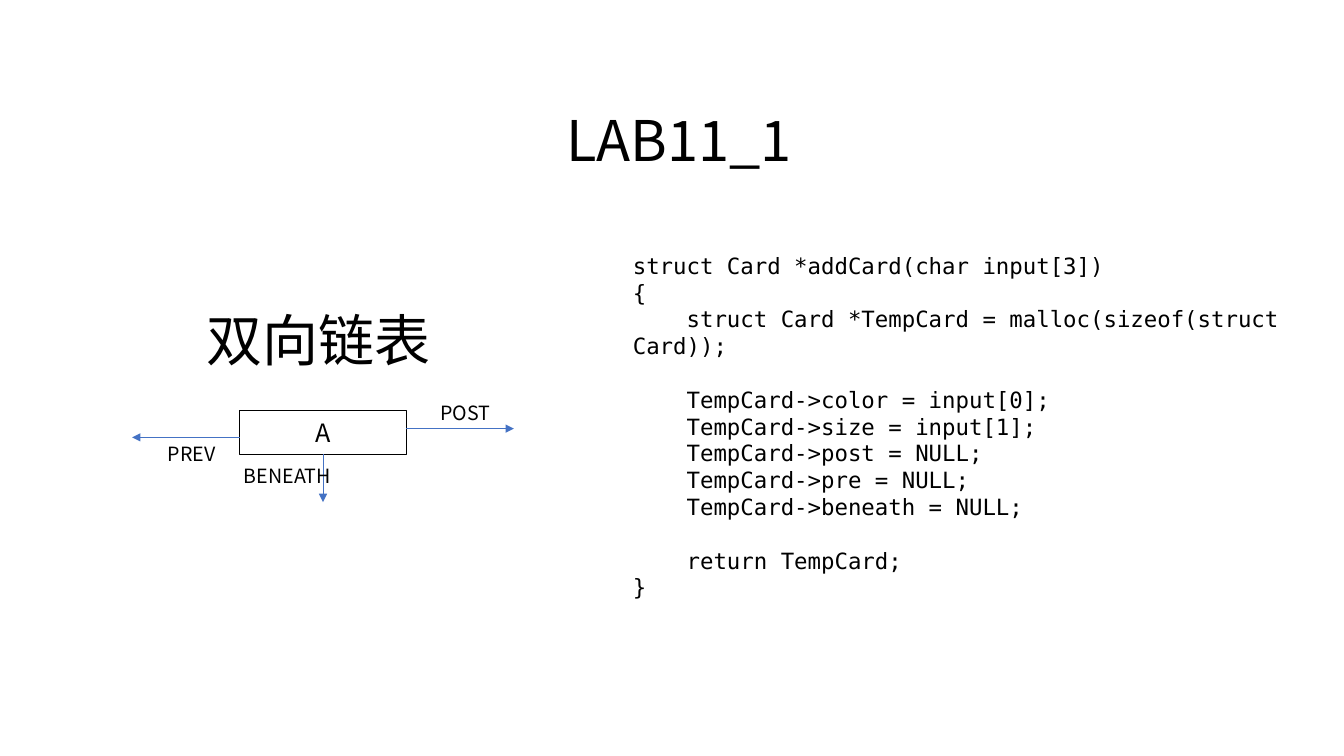
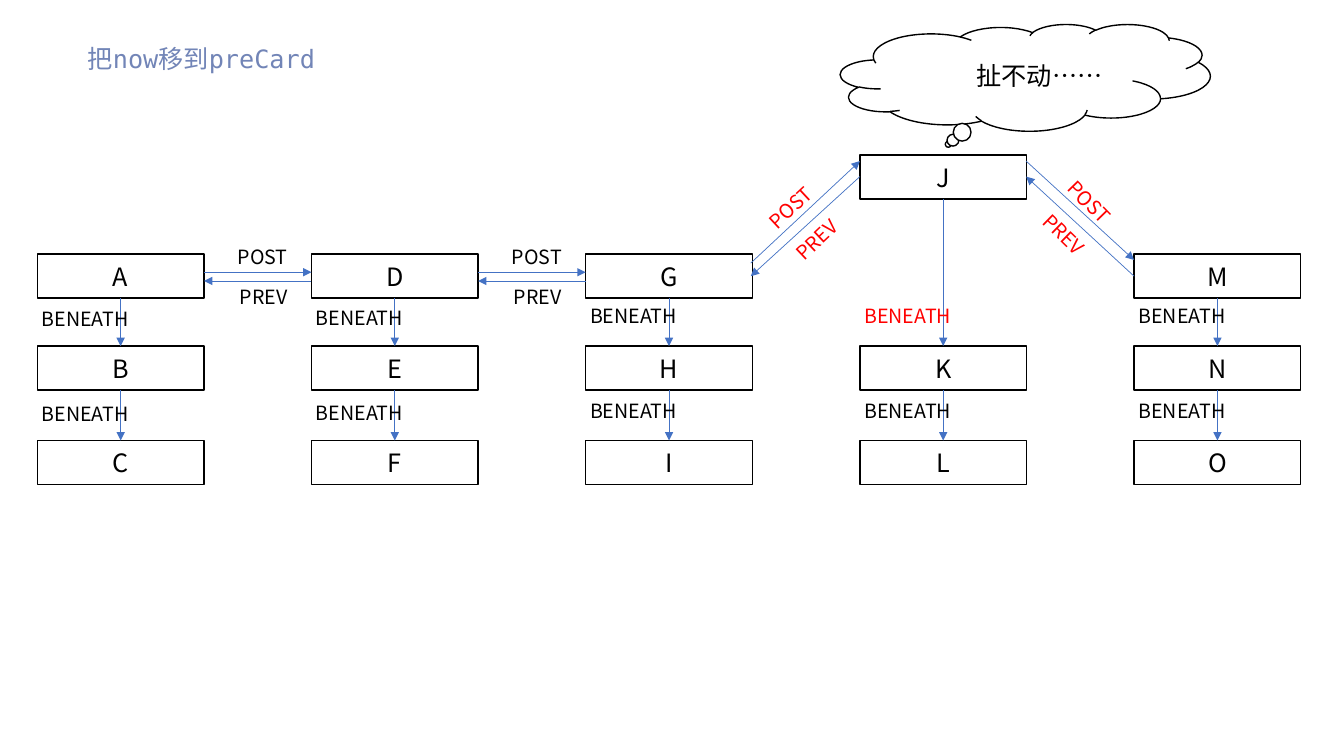
from dataclasses import dataclass
from typing import NamedTuple

from lxml.etree import SubElement
from pptx import Presentation
from pptx.dml.color import RGBColor as Rgb
from pptx.enum.shapes import MSO_CONNECTOR as Line, MSO_SHAPE as Preset
from pptx.enum.text import MSO_ANCHOR as Anchor, MSO_AUTO_SIZE as AutoSize, PP_ALIGN as Align
from pptx.oxml.ns import qn
from pptx.shapes.autoshape import Shape
from pptx.slide import Slide
from pptx.text.text import TextFrame
from pptx.util import Cm, Pt


@dataclass(frozen=True)
class Theme:
    ink: Rgb = Rgb(0x00, 0x00, 0x00)
    paper: Rgb = Rgb(0xFF, 0xFF, 0xFF)
    arrow: Rgb = Rgb(0x44, 0x72, 0xC4)
    alert: Rgb = Rgb(0xFF, 0x00, 0x00)
    heading: Rgb = Rgb(0x72, 0x85, 0xB7)
    sans: str = "Noto Sans CJK SC"
    mono: str = "DejaVu Sans Mono"
    title_size: Pt = Pt(40)
    card_size: Pt = Pt(18)
    code_size: Pt = Pt(16)
    link_size: Pt = Pt(14)
    code_gap: Pt = Pt(19)
    outline: Pt = Pt(1)
    arrow_width: Pt = Pt(0.5)


class Box(NamedTuple):
    left: float
    top: float
    width: float
    height: float


class Stack(NamedTuple):
    cards: str
    top: float
    beneath_top: float
    lifted: bool = False


class SlantedLink(NamedTuple):
    name: str
    start: tuple[float, float]
    end: tuple[float, float]
    label_at: tuple[float, float]
    angle: float


THEME = Theme()
CARD_WIDTH, CARD_HEIGHT = 4.2, 1.11
COLUMN_LEFT, COLUMN_PITCH = 0.94, 6.91
COLUMN_GAP = COLUMN_PITCH - CARD_WIDTH
ROW_TOP, LIFTED_TOP = 6.4, 3.91
LOWER_ROWS = (8.72, 11.1)
BENEATH_STEP = 2.39

STACKS = (
    Stack("ABC", ROW_TOP, 7.62),
    Stack("DEF", ROW_TOP, 7.59),
    Stack("GHI", ROW_TOP, 7.54),
    Stack("JKL", LIFTED_TOP, 7.54, lifted=True),
    Stack("MNO", ROW_TOP, 7.54),
)

SLANTED_LINKS = (
    SlantedLink("PREV", (21.67, 4.45), (18.92, 6.96), (19.71, 5.54), -43.4),
    SlantedLink("POST", (18.92, 6.63), (21.67, 4.06), (19.02, 4.75), -43),
    SlantedLink("PREV", (28.58, 6.96), (25.86, 4.45), (25.93, 5.56), 44.2),
    SlantedLink("POST", (25.86, 4.06), (28.58, 6.55), (26.54, 4.72), 45.8),
)

ADD_CARD_CODE = (
    (
        "struct Card *addCard(char input[3])",
        "{",
        "    struct Card *TempCard = malloc(sizeof(struct Card));",
    ),
    (
        "    TempCard->color = input[0];",
        "    TempCard->size = input[1];",
        "    TempCard->post = NULL;",
        "    TempCard->pre = NULL;",
        "    TempCard->beneath = NULL;",
    ),
    (
        "    return TempCard;",
        "}",
    ),
)


def write(frame: TextFrame, text: str, size: Pt, color: Rgb, font: str) -> None:
    frame.word_wrap = True
    frame.text = text
    for paragraph in frame.paragraphs:
        for run in paragraph.runs:
            run.font.size = size
            run.font.color.rgb = color
            run.font.name = font
            east_asian = SubElement(run.font._element, qn("a:ea"))
            east_asian.set("typeface", THEME.sans)


def add_text(
    slide: Slide,
    box: Box,
    text: str,
    size: Pt,
    color: Rgb = THEME.ink,
    font: str = THEME.sans,
    angle: float = 0,
) -> TextFrame:
    label = slide.shapes.add_textbox(*map(Cm, box))
    label.rotation = angle
    write(label.text_frame, text, size, color, font)
    label.text_frame.auto_size = AutoSize.SHAPE_TO_FIT_TEXT
    return label.text_frame


def add_outlined(slide: Slide, preset: Preset, box: Box) -> Shape:
    figure = slide.shapes.add_shape(preset, *map(Cm, box))
    figure.shadow.inherit = False
    figure.fill.solid()
    figure.fill.fore_color.rgb = THEME.paper
    figure.line.color.rgb = THEME.ink
    figure.line.width = THEME.outline
    return figure


def add_card(slide: Slide, name: str, left: float, top: float) -> None:
    card = add_outlined(slide, Preset.RECTANGLE, Box(left, top, CARD_WIDTH, CARD_HEIGHT))
    frame = card.text_frame
    write(frame, name, THEME.card_size, THEME.ink, THEME.sans)
    frame.vertical_anchor = Anchor.MIDDLE
    frame.paragraphs[0].alignment = Align.CENTER


def add_arrow(slide: Slide, start: tuple[float, float], end: tuple[float, float]) -> None:
    arrow = slide.shapes.add_connector(Line.STRAIGHT, *map(Cm, start + end))
    arrow.line.color.rgb = THEME.arrow
    arrow.line.width = THEME.arrow_width
    SubElement(arrow.line._get_or_add_ln(), qn("a:tailEnd")).set("type", "triangle")
    SubElement(arrow._element.spPr, qn("a:effectLst"))


def add_link_name(
    slide: Slide, name: str, left: float, top: float, color: Rgb = THEME.ink, angle: float = 0
) -> None:
    width = 3.18 if name == "BENEATH" else 1.93
    height = 0.86 if angle else 0.91
    add_text(slide, Box(left, top, width, height), name, THEME.link_size, color, angle=angle)


def add_post(slide: Slide, left: float, card_top: float) -> None:
    level = card_top + 0.46
    add_arrow(slide, (left, level), (left + COLUMN_GAP, level))
    add_link_name(slide, "POST", left + 0.6, card_top - 0.36)


def add_prev(slide: Slide, left: float, card_top: float) -> None:
    level = card_top + 0.68
    add_arrow(slide, (left + COLUMN_GAP, level), (left, level))
    add_link_name(slide, "PREV", left + 0.65, card_top + 0.66)


def add_beneath(
    slide: Slide,
    left: float,
    card_top: float,
    next_top: float,
    name_top: float,
    color: Rgb = THEME.ink,
) -> None:
    middle = left + CARD_WIDTH / 2
    add_arrow(slide, (middle, card_top + CARD_HEIGHT), (middle, next_top))
    add_link_name(slide, "BENEATH", left - 0.14, name_top, color)


def add_stack(slide: Slide, stack: Stack, left: float) -> None:
    tops = (stack.top, *LOWER_ROWS)
    for name, top in zip(stack.cards, tops):
        add_card(slide, name, left, top)
    for step, (top, next_top) in enumerate(zip(tops, tops[1:])):
        color = THEME.alert if stack.lifted and step == 0 else THEME.ink
        name_top = stack.beneath_top + step * BENEATH_STEP
        add_beneath(slide, left, top, next_top, name_top, color)


def build_card_slide(slide: Slide) -> None:
    left, top = 6.04, 10.34
    add_card(slide, "A", left, top)
    add_post(slide, left + CARD_WIDTH, top)
    add_prev(slide, left - COLUMN_GAP, top)
    add_beneath(slide, left, top, top + 2.31, top + 1.22)

    add_text(slide, Box(4.95, 7.57, 8.89, 1.96), "双向链表", THEME.title_size)
    add_text(slide, Box(14.02, 2.54, 8.89, 1.96), "LAB11_1", THEME.title_size)

    code_lines = "\n".join(line for block in ADD_CARD_CODE for line in block)
    code = add_text(
        slide, Box(15.7, 6.22, 18.39, 8.46), code_lines, THEME.code_size, font=THEME.mono
    )
    block_start = 0
    for block in ADD_CARD_CODE[:-1]:
        block_start += len(block)
        code.paragraphs[block_start].space_before = THEME.code_gap


def build_list_slide(slide: Slide) -> None:
    for column, stack in enumerate(STACKS):
        add_stack(slide, stack, COLUMN_LEFT + column * COLUMN_PITCH)
    for column in range(2):
        gap_left = COLUMN_LEFT + column * COLUMN_PITCH + CARD_WIDTH
        add_post(slide, gap_left, ROW_TOP)
        add_prev(slide, gap_left, ROW_TOP)
    for link in SLANTED_LINKS:
        add_arrow(slide, link.start, link.end)
        add_link_name(slide, link.name, *link.label_at, THEME.alert, link.angle)

    add_text(
        slide,
        Box(1.96, 0.97, 16.94, 1.02),
        "把now移到preCard",
        THEME.card_size,
        THEME.heading,
        THEME.mono,
    )
    add_outlined(slide, Preset.CLOUD_CALLOUT, Box(21.18, 0.61, 9.32, 2.69))
    add_text(slide, Box(24.36, 1.4, 4.72, 1.02), "扯不动……", THEME.card_size)


def main() -> None:
    deck = Presentation()
    deck.slide_width, deck.slide_height = Cm(33.87), Cm(19.05)
    blank = deck.slide_layouts[6]
    for build in (build_card_slide, build_list_slide):
        build(deck.slides.add_slide(blank))
    deck.save("out.pptx")


if __name__ == "__main__":
    main()
